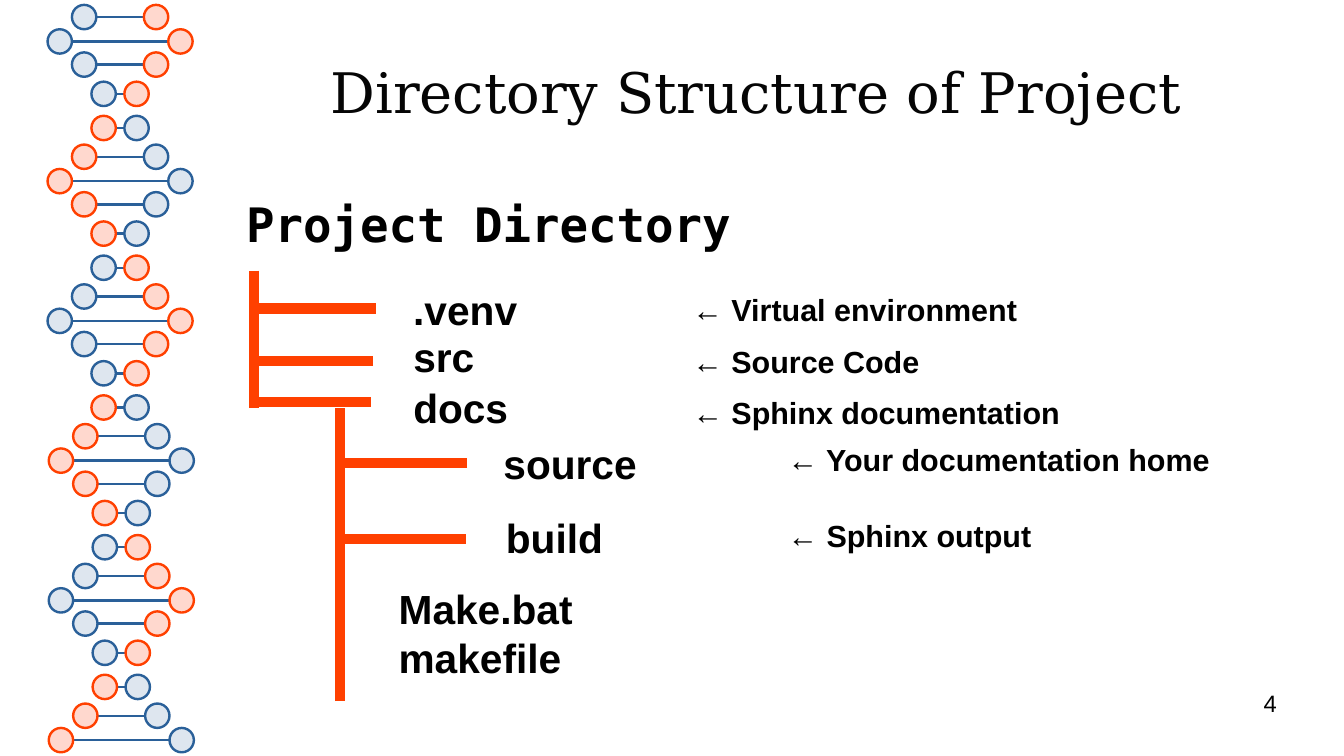
from dataclasses import dataclass

from lxml import etree
from pptx import Presentation
from pptx.dml.color import RGBColor
from pptx.enum.shapes import MSO_CONNECTOR, MSO_SHAPE
from pptx.enum.text import MSO_ANCHOR, PP_ALIGN
from pptx.oxml.ns import qn
from pptx.util import Inches, Pt

STRAIGHT = MSO_CONNECTOR.STRAIGHT
OVAL = MSO_SHAPE.OVAL
LEFT, CENTER, RIGHT = PP_ALIGN.LEFT, PP_ALIGN.CENTER, PP_ALIGN.RIGHT
TOP, MIDDLE = MSO_ANCHOR.TOP, MSO_ANCHOR.MIDDLE

BLACK = RGBColor(0x00, 0x00, 0x00)
TITLE_INK = RGBColor(0x05, 0x05, 0x05)
BLUE = RGBColor(0x2A, 0x60, 0x99)
PALE_BLUE = RGBColor(0xDE, 0xE6, 0xEF)
ORANGE = RGBColor(0xFF, 0x40, 0x00)
PALE_ORANGE = RGBColor(0xFF, 0xD8, 0xCE)

# Helix geometry: five rungs per half turn
BALL = 0.2
RUNG_COUNT = 27
RUNG_TOPS = (0.04, 0.24, 0.43, 0.67, 0.95)
LEFT_BALLS = (0.59, 0.39, 0.59, 0.75, 0.75)
RIGHT_BALLS = (1.18, 1.38, 1.18, 1.02, 1.02)
FIVE_TURNS = 5.73


@dataclass
class Rung:
    top: float
    left: float
    right: float
    blue_left: bool


@dataclass
class Branch:
    x1: float
    y1: float
    x2: float
    y2: float


@dataclass
class Label:
    text: str
    x: float
    y: float
    w: float
    h: float
    size: int = 24


BRANCHES = [
    Branch(2.08, 2.22, 2.08, 3.35),
    Branch(3.08, 2.53, 2.08, 2.53),
    Branch(3.06, 2.96, 2.07, 2.96),
    Branch(3.04, 3.3, 2.04, 3.3),
    Branch(3.83, 3.8, 2.83, 3.8),
    Branch(3.82, 4.42, 2.83, 4.42),
    Branch(2.79, 5.75, 2.79, 3.35),
]

LABELS = [
    Label(".venv", 3.29, 2.29, 1.33, 0.47),
    Label("src", 3.29, 2.67, 2.08, 0.47),
    Label("docs", 3.29, 3.09, 1.08, 0.47),
    Label("source", 4.03, 3.55, 1.47, 0.47),
    Label("build", 4.05, 4.16, 1.2, 0.47),
    Label("Make.bat\nmakefile", 3.17, 4.74, 2.08, 0.86),
    Label("← Virtual environment", 5.58, 2.34, 3.1, 0.42, 18),
    Label("← Source Code", 5.58, 2.76, 2.4, 0.38, 18),
    Label("← Sphinx documentation", 5.58, 3.18, 3.35, 0.38, 18),
    Label("← Your documentation home", 6.36, 3.57, 3.82, 0.53, 18),
    Label("← Sphinx output", 6.36, 4.19, 2.56, 0.38, 18),
]


def add_text(s, text: str, x: float, y: float, w: float, h: float, *,
             size: int, font: str = "Arial", color: RGBColor = BLACK,
             bold: bool = False, align=LEFT, anchor=TOP,
             inset: tuple[float, float] = (0.1, 0.05)) -> None:
    tf = s.shapes.add_textbox(Inches(x), Inches(y), Inches(w), Inches(h)).text_frame
    tf.word_wrap = True
    tf.vertical_anchor = anchor
    tf.margin_left = tf.margin_right = Inches(inset[0])
    tf.margin_top = tf.margin_bottom = Inches(inset[1])
    for i, line in enumerate(text.split("\n")):
        p = tf.paragraphs[0] if i == 0 else tf.add_paragraph()
        p.alignment = align
        r = p.add_run()
        r.text = line
        r.font.name = font
        r.font.size = Pt(size)
        r.font.bold = bold
        r.font.color.rgb = color


def add_line(s, x1: float, y1: float, x2: float, y2: float,
             color: RGBColor, width: float) -> None:
    line = s.shapes.add_connector(STRAIGHT, Inches(x1), Inches(y1), Inches(x2), Inches(y2))
    line.line.color.rgb = color
    line.line.width = Pt(width)
    etree.SubElement(line._element.spPr, qn("a:effectLst"))


def add_ball(s, x: float, y: float, blue: bool) -> None:
    sp = s.shapes.add_shape(OVAL, Inches(x), Inches(y), Inches(BALL), Inches(BALL))
    sp.shadow.inherit = False
    sp.fill.solid()
    sp.fill.fore_color.rgb = PALE_BLUE if blue else PALE_ORANGE
    sp.line.color.rgb = BLUE if blue else ORANGE
    sp.line.width = Pt(1.42)


def helix_rungs() -> list[Rung]:
    rungs = []
    for i in range(RUNG_COUNT):
        turn, step = divmod(i, 5)
        shift = 0.01 if turn >= 3 else 0
        rungs.append(Rung(RUNG_TOPS[step] + FIVE_TURNS * turn / 5,
                          LEFT_BALLS[step] + shift, RIGHT_BALLS[step] + shift,
                          (i + 1) // 5 % 2 == 0))
    return rungs


def draw_helix(s) -> None:
    rungs = helix_rungs()
    for rung in rungs:
        y = rung.top + BALL / 2
        ends = (rung.left + BALL, rung.right)
        start, end = ends if rung.blue_left else ends[::-1]
        add_line(s, start, y, end, y, BLUE, 1.42)
    for rung in rungs:
        add_ball(s, rung.right, rung.top, not rung.blue_left)
    for rung in rungs:
        add_ball(s, rung.left, rung.top, rung.blue_left)


def main() -> None:
    prs = Presentation()
    prs.slide_width, prs.slide_height = Inches(11.02), Inches(6.2)
    s = prs.slides.add_slide(prs.slide_layouts[6])

    # Side decoration
    draw_helix(s)

    # Headings
    add_text(s, "Directory Structure of Project", 1.77, 0.24, 8.86, 1.02, size=33,
             font="DejaVu Serif", color=TITLE_INK, align=CENTER, anchor=MIDDLE,
             inset=(0, 0))
    add_text(s, "Project Directory", 1.92, 1.55, 4.33, 0.55, size=28,
             font="DejaVu Sans Mono", bold=True)

    # Directory tree
    for b in BRANCHES:
        add_line(s, b.x1, b.y1, b.x2, b.y2, ORANGE, 6)
    for label in LABELS:
        add_text(s, label.text, label.x, label.y, label.w, label.h,
                 size=label.size, bold=True)

    # Slide number
    add_text(s, "4", 7.9, 5.65, 2.57, 0.43, size=14, align=RIGHT, inset=(0, 0))

    prs.save("out.pptx")


if __name__ == "__main__":
    main()
